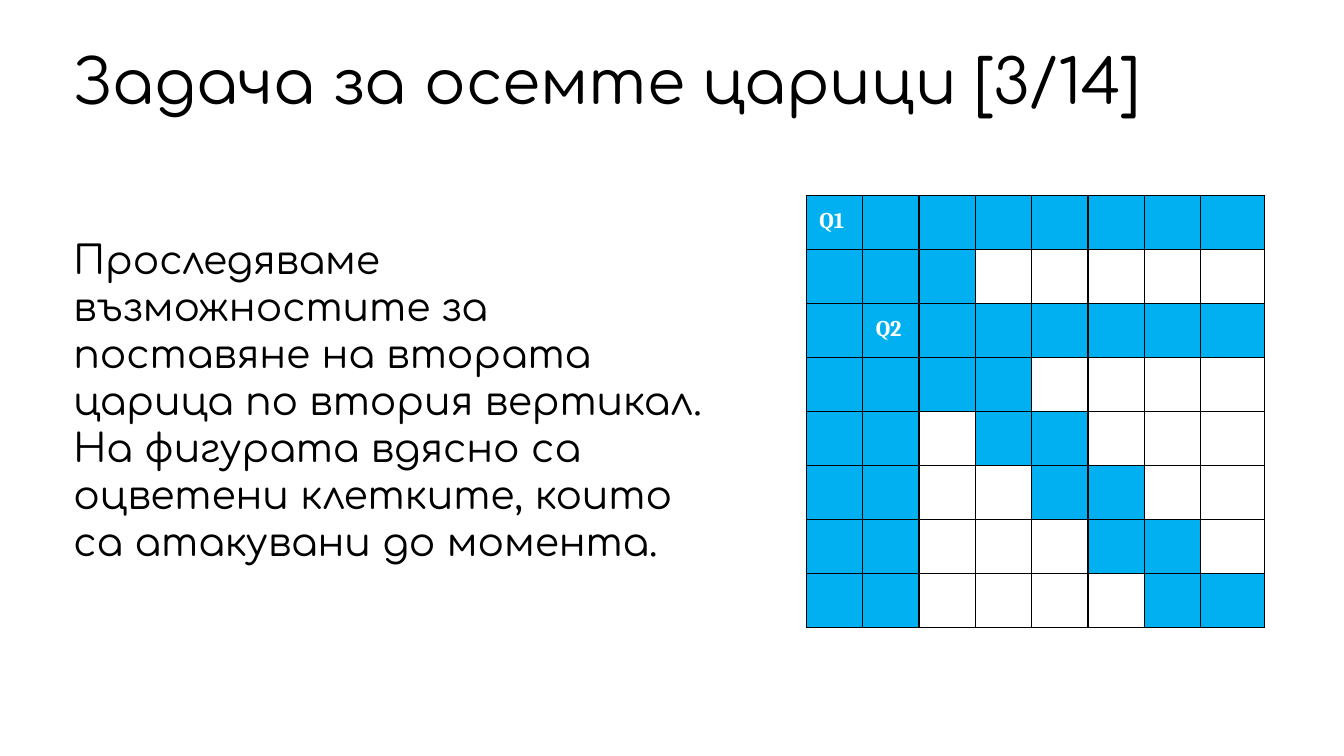
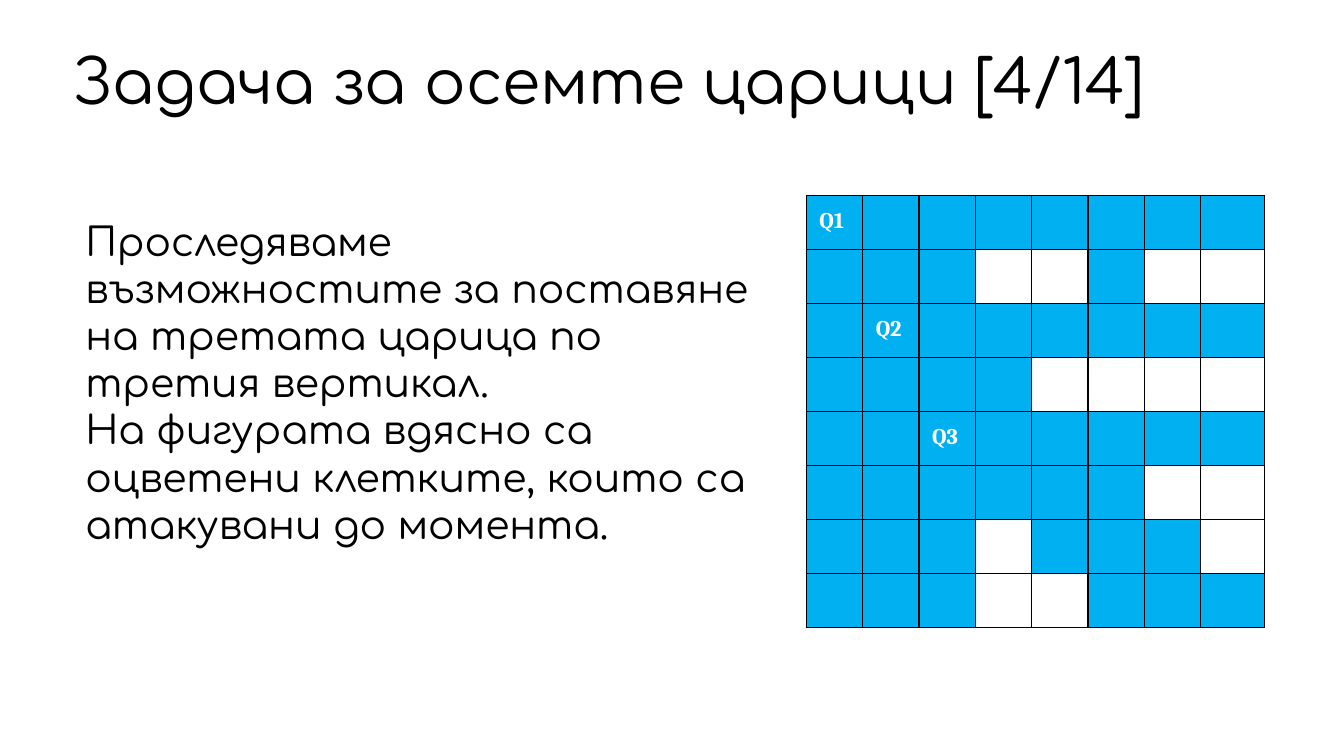
from lxml import etree
from pptx import Presentation
from pptx.dml.color import RGBColor
from pptx.enum import text
from pptx.oxml import ns
from pptx.util import Cm, Pt

BLACK = RGBColor(0x00, 0x00, 0x00)
WHITE = RGBColor(0xFF, 0xFF, 0xFF)
ATTACKED = RGBColor(0x00, 0xB0, 0xF0)

BOARD_SIZE = 8
TITLE_AND_CONTENT = 1

QUEENS = [(0, 0), (2, 1), (4, 2)]  # row, column
CAPTION = "На фигурата вдясно са оцветени клетките, които са атакувани до момента."


def attacks(queen, row, column):
    """Tell whether the queen stands on the square or threatens it."""
    down, across = row - queen[0], column - queen[1]
    return down == 0 or across == 0 or abs(down) == abs(across)


def write(para, words, *, size, font="Comfortaa", color=BLACK, bold=False, spacing=1.0):
    para.alignment = text.PP_ALIGN.LEFT
    para.space_before = para.space_after = Pt(0)
    para.line_spacing = spacing
    span = para.add_run()
    span.text = words
    span.font.name = font
    span.font.size = Pt(size)
    span.font.bold = bold
    span.font.color.rgb = color


def remove_bullet(para):
    properties = para._p.get_or_add_pPr()
    properties.set("marL", "0")
    properties.set("indent", "0")
    etree.SubElement(properties, ns.qn("a:buNone"))


def outline(cell):
    """Draw thin black borders; they must precede the cell's fill."""
    properties = cell._tc.get_or_add_tcPr()
    for side in ("lnL", "lnR", "lnT", "lnB"):
        line = etree.SubElement(properties, ns.qn(f"a:{side}"), w=str(Pt(1)))
        fill = etree.SubElement(line, ns.qn("a:solidFill"))
        etree.SubElement(fill, ns.qn("a:srgbClr"), val=str(BLACK))


class QueensDeck:
    def __init__(self):
        self.deck = Presentation()
        self.deck.slide_width, self.deck.slide_height = Cm(33.87), Cm(19.05)
        self.page = None

    def add_page(self):
        layout = self.deck.slide_layouts[TITLE_AND_CONTENT]
        self.page = self.deck.slides.add_slide(layout)

    def place(self, box, left, top, width, height, anchor):
        """Move a placeholder and return its text frame, set to the shared style."""
        box.left, box.top = Cm(left), Cm(top)
        box.width, box.height = Cm(width), Cm(height)
        frame = box.text_frame
        frame.word_wrap = True
        frame.auto_size = text.MSO_AUTO_SIZE.NONE
        frame.vertical_anchor = anchor
        frame.margin_left = frame.margin_right = Cm(0.3)
        frame.margin_top = frame.margin_bottom = Cm(0.1)
        return frame

    def title(self, words):
        frame = self.place(self.page.shapes.title, 1.55, 1.07, 30.78, 2.13,
                           text.MSO_ANCHOR.MIDDLE)
        write(frame.paragraphs[0], words, size=44, spacing=0.9)

    def body(self, paragraphs, left, top, width, height):
        frame = self.place(self.page.placeholders[1], left, top, width, height,
                           text.MSO_ANCHOR.TOP)
        for index, words in enumerate(paragraphs):
            para = frame.add_paragraph() if index else frame.paragraphs[0]
            remove_bullet(para)
            write(para, words, size=28)

    def board(self, queens):
        column_width, last_width, row_height = Cm(1.42), Cm(1.6), Cm(1.36)
        table = self.page.shapes.add_table(
            BOARD_SIZE, BOARD_SIZE, Cm(20.32), Cm(4.93),
            column_width * (BOARD_SIZE - 1) + last_width, row_height * BOARD_SIZE).table
        table.first_row = table.horz_banding = False
        for column in table.columns:
            column.width = column_width
        table.columns[BOARD_SIZE - 1].width = last_width
        for row_index, row in enumerate(table.rows):
            row.height = row_height
            for column_index, cell in enumerate(row.cells):
                outline(cell)
                if any(attacks(queen, row_index, column_index) for queen in queens):
                    cell.fill.solid()
                    cell.fill.fore_color.rgb = ATTACKED
                else:
                    cell.fill.background()
        for number, (row_index, column_index) in enumerate(queens, 1):
            self.queen(table.cell(row_index, column_index), f"Q{number}")

    def queen(self, cell, label):
        cell.margin_left = cell.margin_right = Cm(0.33)
        cell.margin_top = cell.margin_bottom = Cm(0.33)
        write(cell.text_frame.paragraphs[0], label, size=16, font="Cambria",
              color=WHITE, bold=True)


def main():
    lesson = QueensDeck()
    steps = [
        (3, 2, "втората царица по втория", (1.55, 5.82, 16.74, 10.41)),
        (4, 3, "третата царица по третия", (1.85, 5.38, 17.32, 10.54)),
    ]
    for number, queen_count, target, area in steps:
        lesson.add_page()
        lesson.title(f"Задача за осемте царици [{number}/14]")
        task = f"Проследяваме възможностите за поставяне на {target} вертикал."
        lesson.body([task, CAPTION], *area)
        lesson.board(QUEENS[:queen_count])
    lesson.deck.save("out.pptx")


if __name__ == "__main__":
    main()
